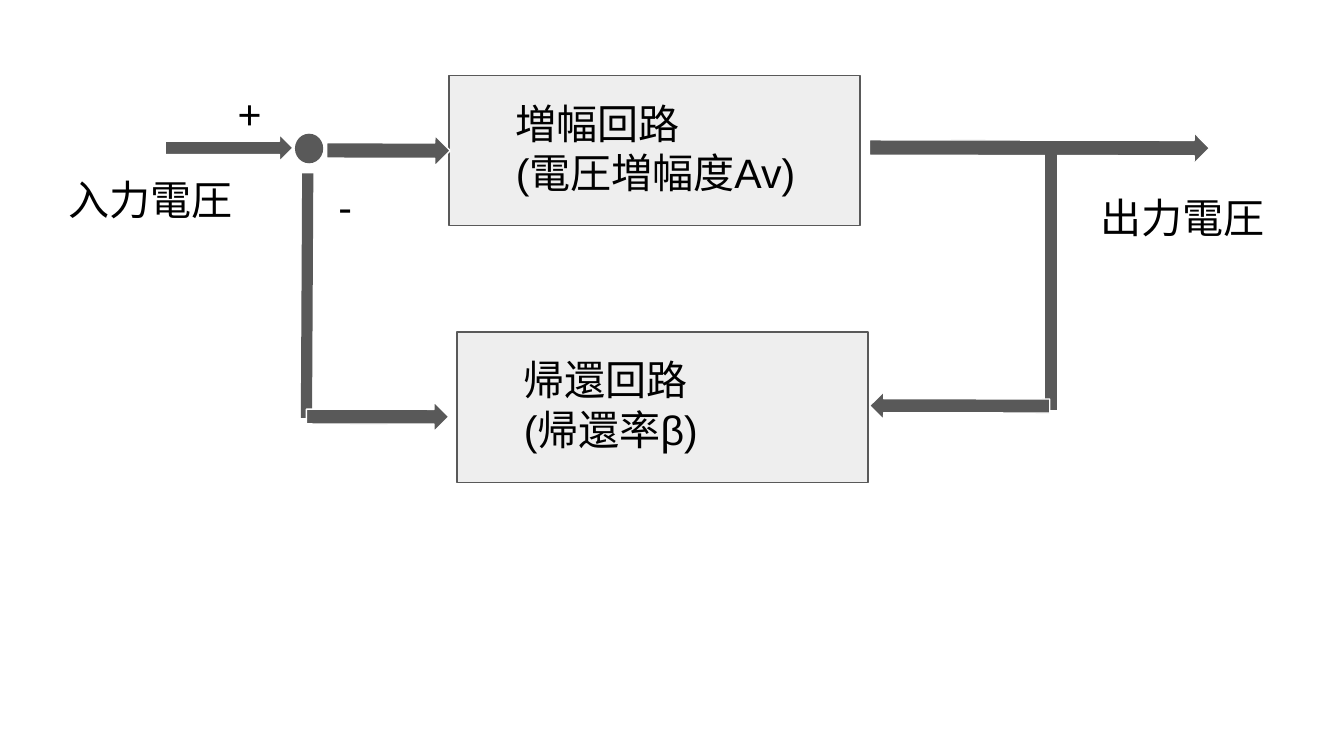
from pptx import Presentation
from pptx.dml.color import RGBColor
from pptx.enum.shapes import MSO_CONNECTOR, MSO_SHAPE
from pptx.enum.text import MSO_ANCHOR, MSO_AUTO_SIZE, PP_ALIGN
from pptx.oxml.ns import qn
from pptx.util import Inches, Pt
from lxml import etree

RECT, OVAL, ARROW = MSO_SHAPE.RECTANGLE, MSO_SHAPE.OVAL, MSO_SHAPE.DOWN_ARROW
STRAIGHT = MSO_CONNECTOR.STRAIGHT
TOP, LEFT = MSO_ANCHOR.TOP, PP_ALIGN.LEFT
FIT = MSO_AUTO_SIZE.SHAPE_TO_FIT_TEXT

DARK = RGBColor(0x59, 0x59, 0x59)
PALE = RGBColor(0xEE, 0xEE, 0xEE)
WHITE = RGBColor(0xFF, 0xFF, 0xFF)
BLACK = RGBColor(0, 0, 0)
FONT, SIZE = "Arial", 22
RIGHTWARD, TILT = 270, 0.1

# Content, in inches
BLOCK_W, BLOCK_H = 3.06, 1.12
TEXT_DX, TEXT_DY, TEXT_W, TEXT_H = 0.4, 0.07, 2.67, 0.94
BLOCKS = [  # left, top, lines
    (3.34, 0.56, ["増幅回路", "(電圧増幅度Av)"]),
    (3.40, 2.47, ["帰還回路", "(帰還率β)"]),
]
FORWARD_ARROWS = [  # tail x, tip x, centre y, thickness, rotation
    (1.23, 2.18, 1.1, 0.2, RIGHTWARD),
    (2.43, 3.35, 1.12, 0.23, RIGHTWARD + TILT),
    (6.47, 9.00, 1.1, 0.23, RIGHTWARD + TILT),
]
FEEDBACK_ARROWS = [
    (7.81, 6.47, 3.02, 0.21, RIGHTWARD - 180 + TILT),
    (2.28, 3.34, 3.10, 0.22, RIGHTWARD + TILT),
]
FEEDBACK_LINES = [(2.29, 1.29, 2.28, 3.11), (7.82, 1.13, 7.82, 3.05)]
SUM_POINT = (2.2, 1, 0.2, 0.21)
LABEL_H = 0.57
LABELS = [  # left, top, width, text
    (1.67, 0.56, 0.37, "+"),
    (2.42, 1.25, 0.37, "-"),
    (0.41, 1.20, 1.52, "入力電圧"),
    (8.09, 1.33, 1.52, "出力電圧"),
]

# Slide in 16:9
prs = Presentation()
prs.slide_width = Inches(10)
prs.slide_height = prs.slide_width * 9 // 16
s = prs.slides.add_slide(prs.slide_layouts[6])


def add_shape(kind, box, fill, line):
    sp = s.shapes.add_shape(kind, *map(Inches, box))
    sp.shadow.inherit = False
    sp.fill.solid()
    sp.fill.fore_color.rgb = fill
    sp.line.color.rgb = line
    sp.line.width = Pt(0.75)
    return sp


def add_arrow(tail, tip, y, thickness, rotation):
    length = abs(tip - tail)
    box = ((tail + tip - thickness) / 2, y - length / 2, thickness, length)
    add_shape(ARROW, box, DARK, WHITE).rotation = rotation


def add_line(*ends):
    line = s.shapes.add_connector(STRAIGHT, *map(Inches, ends))
    line.line.color.rgb = DARK
    line.line.width = Pt(6)
    etree.SubElement(line._element.spPr, qn("a:effectLst"))


def add_text(box, lines):
    tf = s.shapes.add_textbox(*map(Inches, box)).text_frame
    tf.word_wrap = True
    tf.auto_size = FIT
    tf.vertical_anchor = TOP
    tf.margin_left = tf.margin_right = Inches(0.1)
    tf.margin_top = tf.margin_bottom = Inches(0.1)
    for i, text in enumerate(lines):
        p = tf.add_paragraph() if i else tf.paragraphs[0]
        p.alignment = LEFT
        r = p.add_run()
        r.text = text
        r.font.name, r.font.size = FONT, Pt(SIZE)
        r.font.color.rgb = BLACK


# Circuit blocks
for x, y, lines in BLOCKS:
    add_shape(RECT, (x, y, BLOCK_W, BLOCK_H), PALE, DARK)
    add_text((x + TEXT_DX, y + TEXT_DY, TEXT_W, TEXT_H), lines)

# Forward path, then feedback path over it
for arrow in FORWARD_ARROWS:
    add_arrow(*arrow)
add_shape(OVAL, SUM_POINT, DARK, DARK)
for ends in FEEDBACK_LINES:
    add_line(*ends)
for arrow in FEEDBACK_ARROWS:
    add_arrow(*arrow)

# Signal labels
for x, y, w, text in LABELS:
    add_text((x, y, w, LABEL_H), [text])

prs.save("out.pptx")
